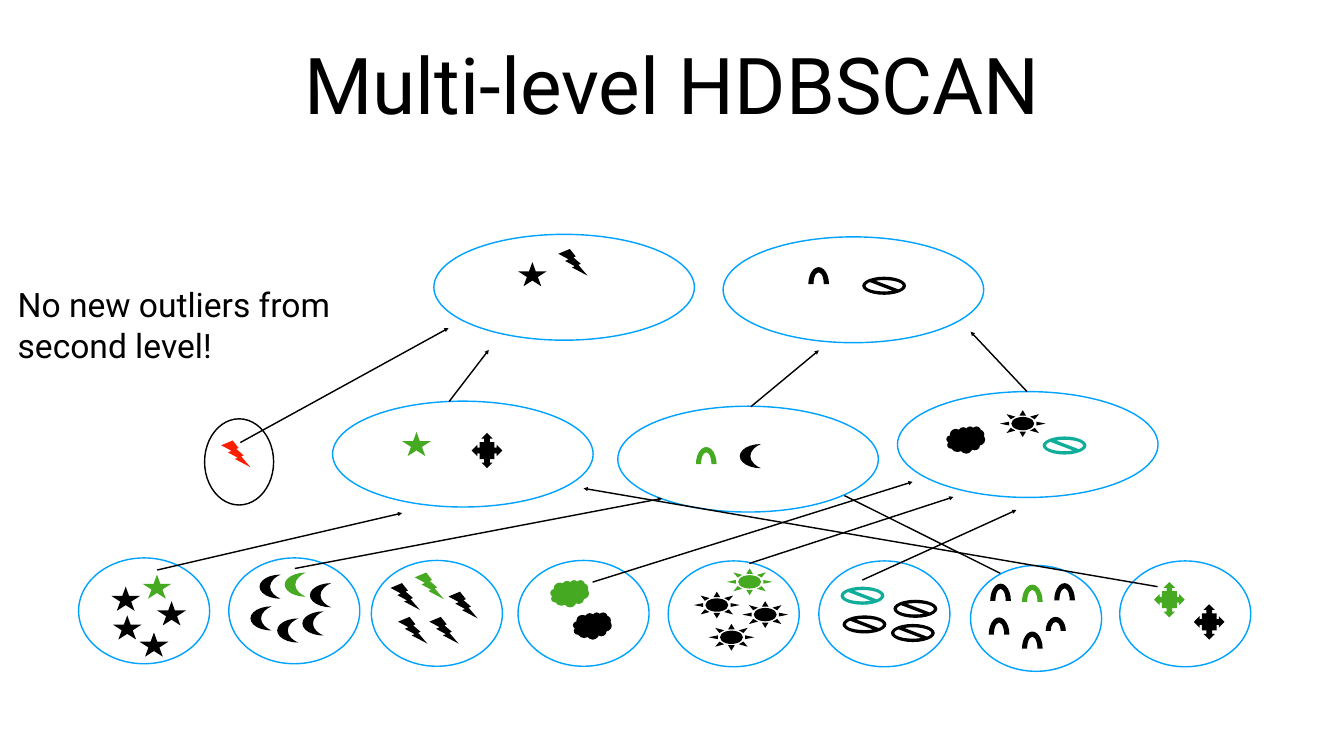
from lxml import etree
from pptx import Presentation
from pptx import util as u
from pptx.dml.color import RGBColor
from pptx.enum import shapes, text
from pptx.oxml import ns

COLORS = {
    "black": "000000",
    "white": "FFFFFF",
    "blue": "00A2FF",
    "green": "45AA21",
    "teal": "10AD9B",
    "red": "FA1F00",
}
PRESET = shapes.MSO_SHAPE
# preset, width, height
SYMBOLS = {
    "star": (PRESET.STAR_5_POINT, 0.57, 0.48),
    "moon": (PRESET.MOON, 0.42, 0.48),
    "bolt": (PRESET.LIGHTNING_BOLT, 0.58, 0.53),
    "cloud": (PRESET.CLOUD, 0.77, 0.54),
    "sun": (PRESET.SUN, 0.91, 0.53),
    "ban": (PRESET.NO_SYMBOL, 0.87, 0.36),
    "arch": (PRESET.BLOCK_ARC, 0.41, 0.68),
    "small arch": (PRESET.BLOCK_ARC, 0.40, 0.56),
    "cross": (PRESET.QUAD_ARROW_CALLOUT, 0.61, 0.70),
}

presentation = Presentation()
presentation.slide_width, presentation.slide_height = u.Inches(26.67), u.Inches(15)
slide = presentation.slides.add_slide(presentation.slide_layouts[6])


def add_filled(preset, left, top, width, height, fill, line=None):
    shape = slide.shapes.add_shape(preset, *map(u.Inches, (left, top, width, height)))
    shape.shadow.inherit = False
    shape.fill.solid()
    shape.fill.fore_color.rgb = RGBColor.from_string(COLORS[fill])
    if line:
        shape.line.color.rgb = RGBColor.from_string(COLORS[line])
        shape.line.width = u.Pt(2)
    else:
        shape.line.fill.background()


def add_arrow(*ends):
    connector = slide.shapes.add_connector(
        shapes.MSO_CONNECTOR.STRAIGHT, *map(u.Inches, ends))
    connector.line.color.rgb = RGBColor.from_string(COLORS["black"])
    connector.line.width = u.Pt(2)
    etree.SubElement(connector.line._get_or_add_ln(), ns.qn("a:tailEnd"), type="triangle")
    etree.SubElement(connector._element.spPr, ns.qn("a:effectLst"))


# Title and remark
texts = [
    ("Multi-level HDBSCAN", (1.85, 0.39, 22.97, 2.5), 112, text.PP_ALIGN.CENTER),
    ("No new outliers from second level!", (0.29, 5.16, 6.76, 2.56), 48, text.PP_ALIGN.LEFT),
]
for words, place, size, alignment in texts:
    frame = slide.shapes.add_textbox(*map(u.Inches, place)).text_frame
    margins = {f"margin_{side}": u.Inches(0.06) for side in ("left", "right", "top", "bottom")}
    frame_format = {"word_wrap": True, "vertical_anchor": text.MSO_ANCHOR.MIDDLE, **margins}
    for name, value in frame_format.items():
        setattr(frame, name, value)
    paragraph = frame.paragraphs[0]
    paragraph.alignment = alignment
    run = paragraph.add_run()
    run.text = words
    for name, value in {"name": "Roboto", "size": u.Pt(size)}.items():
        setattr(run.font, name, value)
    run.font.color.rgb = RGBColor.from_string(COLORS["black"])

# This arrow starts behind the second-level clusters
add_arrow(20.28, 11.59, 16.51, 9.71)

# Clusters: first level (small), second and third level (wide)
first_level = [(1.56, 11.07), (4.54, 11.07), (7.37, 11.12), (10.28, 11.12),
               (13.26, 11.13), (16.25, 11.13), (19.26, 11.22), (22.22, 11.13)]
upper_levels = [(6.6, 7.96), (12.26, 8.06), (17.81, 7.77), (8.61, 4.65), (14.35, 4.7)]
for width, clusters in ((2.6, first_level), (5.17, upper_levels)):
    for left, top in clusters:
        add_filled(PRESET.OVAL, left, top, width, 2.1, "white", "blue")
add_filled(PRESET.OVAL, 4.06, 8.31, 1.37, 1.71, "white", "black")  # outlier

# Cluster members; exemplars are coloured
members = [
    ("star", "black", [(2.21, 11.64), (3.12, 11.93), (2.24, 12.21), (2.77, 12.55),
                       (10.28, 5.2)]),
    ("star", "green", [(2.83, 11.4), (7.98, 8.57)]),
    ("moon", "black", [(5.15, 11.4), (5.5, 12.27), (4.97, 12.03), (6, 12.13),
                       (6.15, 11.57), (14.68, 8.81)]),
    ("moon", "green", [(5.65, 11.36)]),
    ("bolt", "black", [(8.9, 11.74), (8.52, 12.24), (7.9, 12.24), (7.75, 11.57),
                       (11.08, 4.94)]),
    ("bolt", "green", [(8.23, 11.36)]),
    ("bolt", "red", [(4.39, 8.74)]),
    ("cloud", "black", [(11.37, 12.15), (18.78, 8.46)]),
    ("cloud", "green", [(10.92, 11.51)]),
    ("sun", "black", [(13.77, 11.74), (14.73, 11.93), (14.06, 12.38), (19.84, 8.14)]),
    ("sun", "green", [(14.42, 11.28)]),
    ("ban", "black", [(16.72, 12.21), (17.68, 12.38), (17.73, 11.9), (17.11, 5.49)]),
    ("ban", "teal", [(16.68, 11.64), (20.69, 8.66)]),
    ("arch", "black", [(19.65, 11.58), (19.62, 12.25), (20.92, 11.57), (20.28, 12.53),
                       (16.04, 5.3)]),
    ("small arch", "black", [(20.75, 12.24)]),
    ("arch", "green", [(20.28, 11.6), (13.81, 8.87)]),
    ("cross", "black", [(23.69, 11.99), (9.36, 8.59)]),
    ("cross", "green", [(22.9, 11.55)]),
]
for symbol, color, places in members:
    preset, width, height = SYMBOLS[symbol]
    for left, top in places:
        add_filled(preset, left, top, width, height, color)

# Arrows from each exemplar to its cluster one level up
arrows = [
    (3.12, 11.31, 7.98, 10.18),
    (5.85, 11.28, 13.14, 9.89),
    (11.76, 11.55, 18.11, 9.56),
    (14.87, 11.18, 18.92, 9.86),
    (17.11, 11.51, 20.17, 10.12),
    (22.97, 11.64, 11.58, 9.69),
    (4.77, 8.78, 8.9, 6.51),
    (8.43, 8.59, 9.7, 6.94),
    (14.1, 8.73, 16.25, 6.95),
    (21.04, 8.48, 19.26, 6.58),
]
# The ends inside the second level are covered by their clusters
visible_starts = {(8.43, 8.59): (8.91, 7.97), (14.1, 8.73): (14.9, 8.07),
                  (21.04, 8.48): (20.38, 7.77)}
for arrow in arrows:
    add_arrow(*visible_starts.get(arrow[:2], arrow[:2]), *arrow[2:])

presentation.save("out.pptx")
